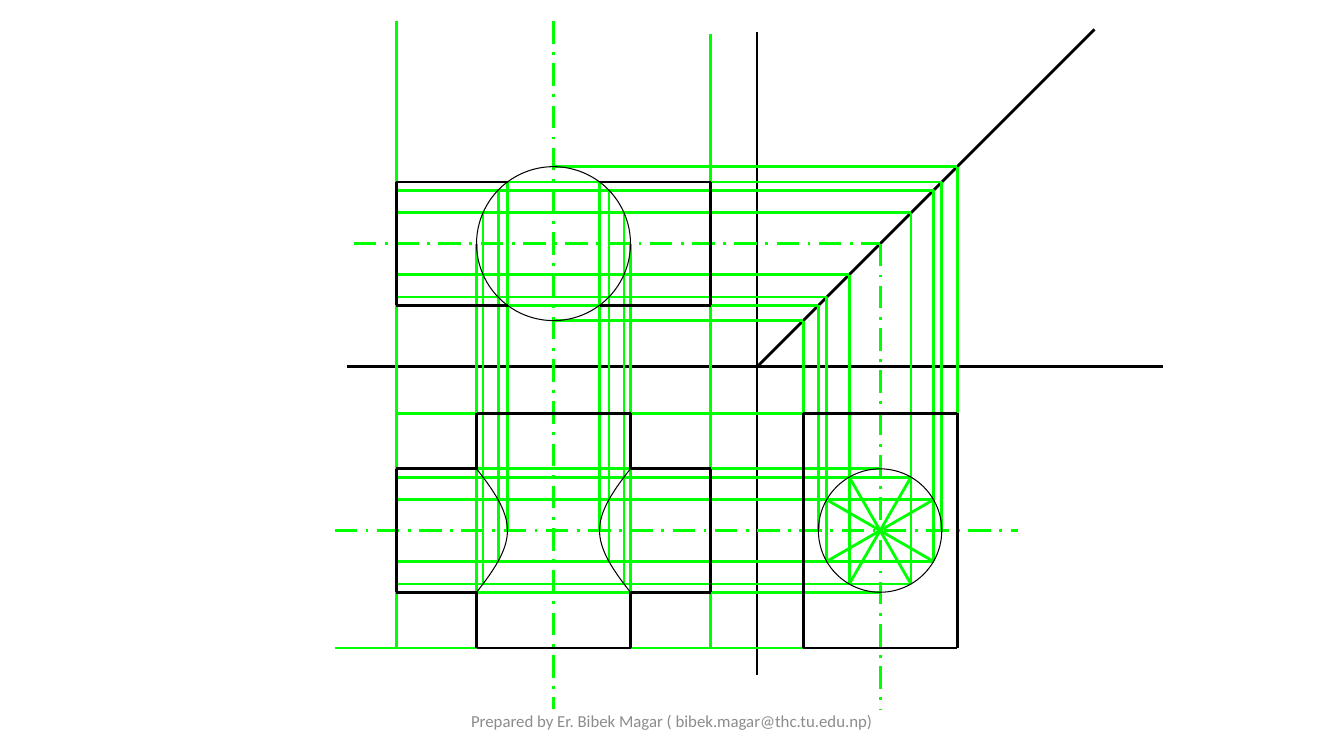
from math import cos, radians, sin, sqrt

from lxml import etree
from pptx import Presentation
from pptx.dml.color import RGBColor
from pptx.enum.dml import MSO_LINE
from pptx.enum.shapes import MSO_CONNECTOR, MSO_SHAPE
from pptx.enum.text import MSO_ANCHOR, PP_ALIGN
from pptx.oxml.ns import qn
from pptx.util import Cm, Pt

STRAIGHT = MSO_CONNECTOR.STRAIGHT
OVAL = MSO_SHAPE.OVAL
DASH_DOT = MSO_LINE.LONG_DASH_DOT
MIDDLE = MSO_ANCHOR.MIDDLE
CENTER = PP_ALIGN.CENTER

BLACK = RGBColor(0x00, 0x00, 0x00)
GREEN = RGBColor(0x00, 0xFF, 0x00)
GRAY = RGBColor(0x8C, 0x8C, 0x8C)

FOLD_X, FOLD_Y = 19.08, 9.24
PLAN_X, PLAN_Y = 13.95, 6.14
SIDE_X = FOLD_X + FOLD_Y - PLAN_Y
AXIS_Y = 13.37
UPRIGHT_RADIUS, CROSS_RADIUS = 1.94, 1.555
UPRIGHT_HALF, CROSS_HALF = 2.96, 3.96
LEFT, RIGHT = PLAN_X - CROSS_HALF, PLAN_X + CROSS_HALF
TOP, BOTTOM = AXIS_Y - UPRIGHT_HALF, AXIS_Y + UPRIGHT_HALF


def style_line(line, color, dash=None):
    line.color.rgb = color
    line.width = Pt(0)
    if dash:
        line.dash_style = dash


def add_line(page, start, end, color=GREEN, dash=None):
    line = page.shapes.add_connector(STRAIGHT, *(Cm(value) for value in (*start, *end)))
    style_line(line.line, color, dash)
    etree.SubElement(line._element.spPr, qn("a:effectLst"))


def add_outline(page, points):
    for start, end in zip(points, points[1:]):
        add_line(page, start, end, BLACK)


def finish_shape(shape):
    shape.fill.background()
    shape.shadow.inherit = False
    style_line(shape.line, BLACK)


def add_circle(page, x, y, radius):
    size = Cm(2 * radius)
    finish_shape(page.shapes.add_shape(OVAL, Cm(x - radius), Cm(y - radius), size, size))


def mitre_y(x):
    return FOLD_X + FOLD_Y - x


def half_chord(depth):
    return sqrt(UPRIGHT_RADIUS ** 2 - depth ** 2)


def division(angle):
    return CROSS_RADIUS * cos(radians(angle)), CROSS_RADIUS * sin(radians(angle))


def add_joint_curve(page, side):
    points = []
    for angle in range(90, -91, -5):
        depth, height = division(angle)
        points.append((Cm(PLAN_X + side * half_chord(depth)), Cm(AXIS_Y + height)))
    builder = page.shapes.build_freeform(*points[0])
    builder.add_line_segments(points[1:], close=False)
    finish_shape(builder.convert_to_shape())


def add_reference_lines(page):
    add_line(page, (FOLD_X, 0.81), (FOLD_X, 17.02), BLACK)
    add_line(page, (8.74, FOLD_Y), (29.31, FOLD_Y), BLACK)
    add_line(page, (FOLD_X, FOLD_Y), (27.58, mitre_y(27.58)), BLACK)
    add_line(page, (8.43, AXIS_Y), (25.65, AXIS_Y), dash=DASH_DOT)
    add_line(page, (8.92, PLAN_Y), (SIDE_X, PLAN_Y), dash=DASH_DOT)
    add_line(page, (PLAN_X, 0.53), (PLAN_X, 17.86), dash=DASH_DOT)
    add_line(page, (SIDE_X, PLAN_Y), (SIDE_X, 17.86), dash=DASH_DOT)


def add_size_projectors(page):
    side_right = SIDE_X + UPRIGHT_RADIUS
    add_line(page, (LEFT, 0.53), (LEFT, BOTTOM))
    add_line(page, (RIGHT, 0.86), (RIGHT, BOTTOM))
    add_line(page, (LEFT, TOP), (side_right, TOP))
    add_line(page, (8.43, BOTTOM), (side_right, BOTTOM))
    for side in (-1, 1):
        plan_edge = PLAN_X + side * UPRIGHT_RADIUS
        side_edge = SIDE_X + side * UPRIGHT_RADIUS
        add_line(page, (plan_edge, PLAN_Y), (plan_edge, BOTTOM))
        add_line(page, (PLAN_X, mitre_y(side_edge)), (side_edge, mitre_y(side_edge)))
        add_line(page, (side_edge, mitre_y(side_edge)), (side_edge, BOTTOM))


def add_division_projectors(page):
    for angle in (30, 60, 120, 150):
        depth, height = division(angle)
        add_line(page, (SIDE_X - depth, AXIS_Y - height), (SIDE_X + depth, AXIS_Y + height))
    for angle in (30, 60, 90):
        depth, height = division(angle)
        for y in (AXIS_Y - height, AXIS_Y + height):
            add_line(page, (SIDE_X + depth, y), (LEFT, y))
    for angle in (0, 30, 60, 120, 150, 180):
        depth, height = division(angle)
        x = SIDE_X + depth
        add_line(page, (x, AXIS_Y + height), (x, mitre_y(x)))
        add_line(page, (x, mitre_y(x)), (LEFT, mitre_y(x)))
    for angle in (0, 30, 60):
        depth, height = division(angle)
        for side in (-1, 1):
            x = PLAN_X + side * half_chord(depth)
            add_line(page, (x, PLAN_Y - depth), (x, AXIS_Y + height))


def add_plan_view(page):
    above, below = PLAN_Y - CROSS_RADIUS, PLAN_Y + CROSS_RADIUS
    for side, end in ((-1, LEFT), (1, RIGHT)):
        joint = PLAN_X + side * half_chord(CROSS_RADIUS)
        add_outline(page, [(joint, above), (end, above), (end, below), (joint, below)])
    add_circle(page, PLAN_X, PLAN_Y, UPRIGHT_RADIUS)


def add_front_view(page):
    above, below = AXIS_Y - CROSS_RADIUS, AXIS_Y + CROSS_RADIUS
    near, far = PLAN_X - UPRIGHT_RADIUS, PLAN_X + UPRIGHT_RADIUS
    add_outline(page, [
        (near, TOP), (far, TOP), (far, above), (RIGHT, above),
        (RIGHT, below), (far, below), (far, BOTTOM), (near, BOTTOM),
        (near, below), (LEFT, below), (LEFT, above), (near, above), (near, TOP),
    ])
    for side in (-1, 1):
        add_joint_curve(page, side)


def add_side_view(page):
    near, far = SIDE_X - UPRIGHT_RADIUS, SIDE_X + UPRIGHT_RADIUS
    add_outline(page, [(near, BOTTOM), (near, TOP), (far, TOP), (far, BOTTOM), (near, BOTTOM)])
    add_circle(page, SIDE_X, AXIS_Y, CROSS_RADIUS)


def add_footer(page, text):
    box = page.shapes.add_textbox(Cm(11.22), Cm(17.66), Cm(11.43), Cm(1.01))
    frame = box.text_frame
    frame.word_wrap = True
    frame.vertical_anchor = MIDDLE
    frame.text = text
    para = frame.paragraphs[0]
    para.alignment = CENTER
    font = para.runs[0].font
    font.name = "Calibri"
    font.size = Pt(12)
    font.color.rgb = GRAY


def main():
    deck = Presentation()
    deck.slide_width, deck.slide_height = Cm(33.87), Cm(19.05)
    page = deck.slides.add_slide(deck.slide_layouts[6])
    add_footer(page, "Prepared by Er. Bibek Magar ( bibek.magar@thc.tu.edu.np)")
    add_reference_lines(page)
    add_size_projectors(page)
    add_division_projectors(page)
    add_plan_view(page)
    add_front_view(page)
    add_side_view(page)
    deck.save("out.pptx")


if __name__ == "__main__":
    main()
